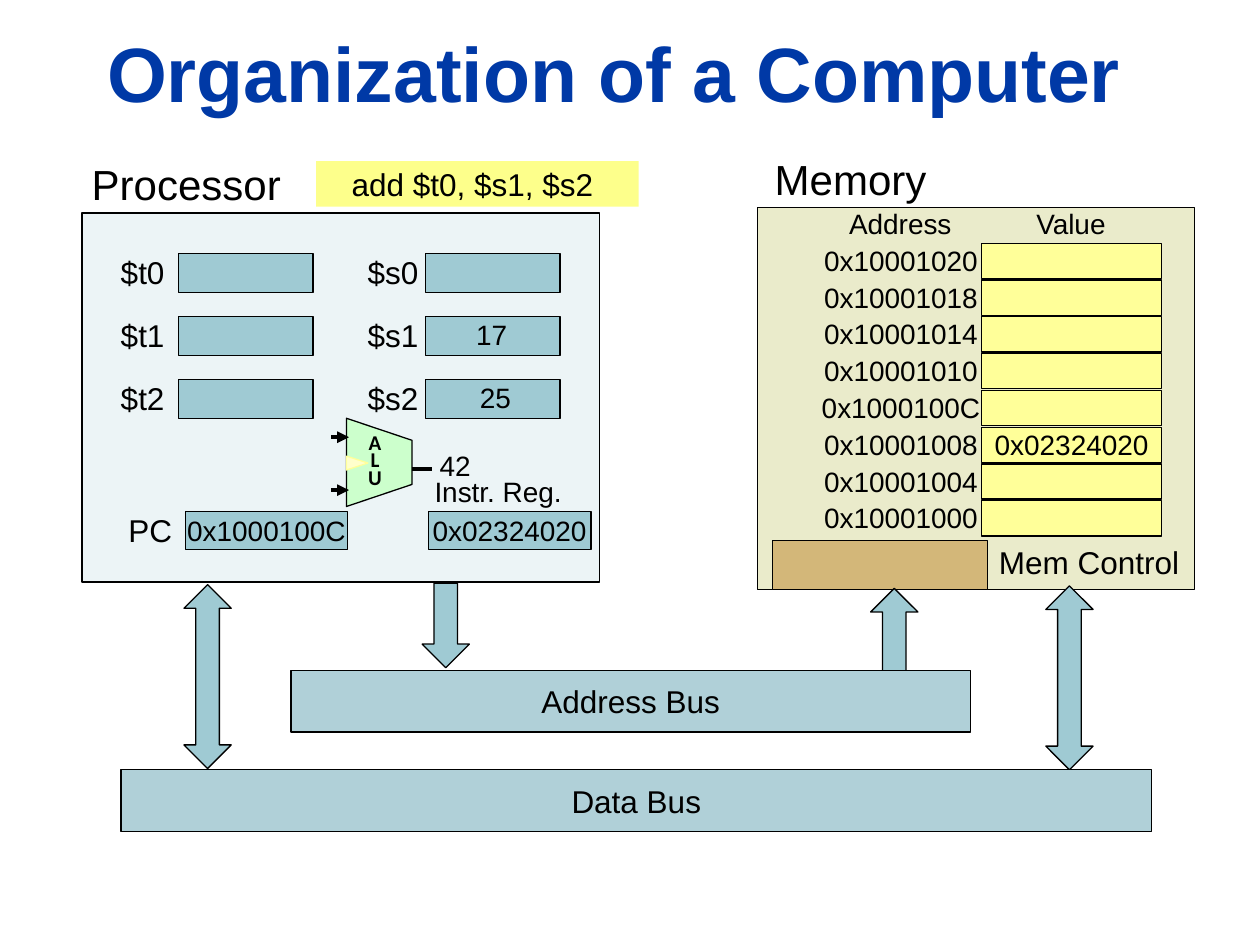
from pptx import Presentation
from pptx.dml.color import RGBColor
from pptx.enum.shapes import MSO_CONNECTOR as Link, MSO_SHAPE as Kind
from pptx.enum.text import MSO_ANCHOR as Anchor, MSO_AUTO_SIZE as Fit, PP_ALIGN as Align
from pptx.oxml.ns import qn
from pptx.util import Inches, Pt
from lxml.etree import SubElement

COLS, ROWS = 100, 75
WIDE, HIGH = Inches(10), Inches(7.5)
TEAL, BUS, PALE = "9FCAD3", "B0D0D8", "ECF4F6"
SAND, TAN, LEMON, MINT = "EAEBCB", "D3B779", "FFFF99", "CCFFCC"
BLACK, NAVY = "000000", "0039A6"


def tint(code):
    return RGBColor.from_string(code)


def span(x, y):
    return round(x * WIDE / COLS), round(y * HIGH / ROWS)


def place(box):
    return *span(*box[:2]), *span(*box[2:])


def paint(shape, fill, line=BLACK):
    shape.shadow.inherit = False
    shape.fill.solid()
    shape.fill.fore_color.rgb = tint(fill)
    if line:
        shape.line.color.rgb = tint(line)
        shape.line.width = Pt(0.75)
    else:
        shape.line.fill.background()
    return shape


def draw(slide, box, fill, kind=Kind.RECTANGLE, line=BLACK):
    return paint(slide.shapes.add_shape(kind, *place(box)), fill, line)


def write(shape, words, size=18, font="Arial", color=BLACK, bold=False,
          align=Align.CENTER, anchor=Anchor.MIDDLE, wrap=False, gap=None):
    frame = shape.text_frame
    frame.auto_size = Fit.NONE
    frame.word_wrap = wrap
    frame.vertical_anchor = anchor
    para = frame.paragraphs[0]
    para.text = words
    para.alignment = align
    if gap:
        para.line_spacing = gap
    para.font.name = font
    para.font.size = Pt(size)
    para.font.bold = bold
    para.font.color.rgb = tint(color)
    return shape


def label(slide, words, box, **form):
    return write(slide.shapes.add_textbox(*place(box)), words, **form)


def note(slide, words, box, **form):
    return label(slide, words, box, align=Align.LEFT, anchor=Anchor.TOP, **form)


def wire(slide, start, end, head=False):
    line = slide.shapes.add_connector(Link.STRAIGHT, *span(*start), *span(*end))
    line.line.color.rgb = tint(BLACK)
    line.line.width = Pt(2.25)
    if head:
        SubElement(line.line._get_or_add_ln(), qn("a:tailEnd"), type="triangle")
    SubElement(line._element.spPr, qn("a:effectLst"))


def banner(slide, box):
    title = slide.shapes.title
    title.left, title.top, title.width, title.height = place(box)
    write(title, "Organization of a Computer", size=44, color=NAVY, bold=True,
          align=Align.LEFT, anchor=Anchor.BOTTOM, wrap=True)


def alu(slide, box):
    x, y, w, h = box
    cut = h / 4
    form = slide.shapes.build_freeform(*span(x, y))
    form.add_line_segments([span(x + w, y + cut), span(x + w, y + h - cut),
                            span(x, y + h)])
    paint(form.convert_to_shape(), MINT)
    notch = draw(slide, (x + 0.3, y + 2.7, 1.1, 1.7), "FFFFCC",
                 Kind.ISOSCELES_TRIANGLE, LEMON)
    notch.rotation = 90
    label(slide, "ALU", (x + 0.5, y + 0.9, 3.5, 5.2), size=12, font="Calibri",
          bold=True, wrap=True, gap=0.7)
    wire(slide, (x + w, y + 4), (x + w + 1.6, y + 4))
    for row in (1.5, 5.7):
        wire(slide, (x - 1.2, y + row), (x + 0.2, y + row), head=True)


def cpu(slide, box):
    x, y, w, h = box
    draw(slide, box, PALE)
    note(slide, "Processor", (x - 0.2, y - 4.8, 17, 5), size=24)
    order = draw(slide, (x + 18.6, y - 4.1, 25.6, 3.6), "FDFF8B", line=None)
    write(order, "add $t0, $s1, $s2").text_frame.margin_right = Inches(0.18)
    for bank, left, wide in (("t", x + 2.1, 5.5), ("s", x + 21.7, 6)):
        for num in range(3):
            top = y + 3.2 + 5 * num
            draw(slide, (left + 5.55, top, 10.7, 3.1), TEAL)
            note(slide, f"${bank}{num}", (left, top - 0.5, wide, 4))
    note(slide, "17", (x + 30.3, y + 7.8, 4.4, 3.7), size=16)
    note(slide, "25", (x + 30.6, y + 12.8, 4.4, 3.7), size=16)
    for left, words in ((8.2, "0x1000100C"), (27.5, "0x02324020")):
        draw(slide, (x + left, y + 23.7, 12.9, 3), TEAL)
        label(slide, words, (x + left - 0.7, y + 23.3, 14.3, 3.7), size=16)
    note(slide, "PC", (x + 2.7, y + 23.2, 5.4, 4))
    note(slide, "Instr. Reg.", (x + 27, y + 20.3, 12.2, 3.7), size=16)
    note(slide, "42", (x + 27.4, y + 18.2, 4.4, 3.7), size=16)
    alu(slide, (x + 21, y + 16.3, 5.2, 7))


def store(slide, box):
    x, y, w, h = box
    draw(slide, box, SAND)
    note(slide, "Memory", (x + 0.4, y - 4.8, 14, 5), size=24)
    label(slide, "Address", (x + 6.3, y - 0.6, 10.1, 3.7), size=16)
    label(slide, "Value", (x + 21.1, y - 0.6, 7.6, 3.7), size=16)
    words = {"20": "", "18": "", "14": "", "10": "", "0C": "",
             "08": "0x02324020", "04": "", "00": ""}
    for row, (end, value) in enumerate(words.items()):
        top = y + 2.8 + 2.92 * row
        label(slide, f"0x100010{end}", (x + 4.3, top - 0.5, 14.2, 3.7), size=16)
        cell = draw(slide, (x + 17.8, top, 14.3, 2.8), LEMON)
        if value:
            write(cell, value, size=16)
    draw(slide, (x + 1.2, y + h - 3.9, 17.1, 3.9), TAN)
    note(slide, "Mem Control", (x + 18.2, y + h - 4.2, 16.3, 4))


def buses(slide, box):
    x, y, w, h = box
    for kind, left, top, tall in ((Kind.DOWN_ARROW, 23.9, 0, 6.7),
                                  (Kind.UP_ARROW, 59.5, 0.4, 6.7),
                                  (Kind.UP_DOWN_ARROW, 5, 0.1, 14.6),
                                  (Kind.UP_DOWN_ARROW, 73.4, 0.2, 14.6)):
        draw(slide, (x + left, y + top, 3.75, tall), TEAL, kind)
    for words, left, top, wide in (("Address Bus", 13.5, h - 12.8, 53.9),
                                   ("Data Bus", 0, h - 4.9, w)):
        write(draw(slide, (x + left, y + top, wide, 4.9), BUS), words)


def main():
    deck = Presentation()
    deck.slide_width, deck.slide_height = WIDE, HIGH
    slide = deck.slides.add_slide(deck.slide_layouts[5])
    banner(slide, (7.5, 1.6, 90.3, 8.3))
    cpu(slide, (6.5, 16.9, 41.1, 29.3))
    store(slide, (60.1, 16.5, 34.7, 30.3))
    buses(slide, (9.6, 46.3, 81.8, 19.7))
    deck.save("out.pptx")


if __name__ == "__main__":
    main()
